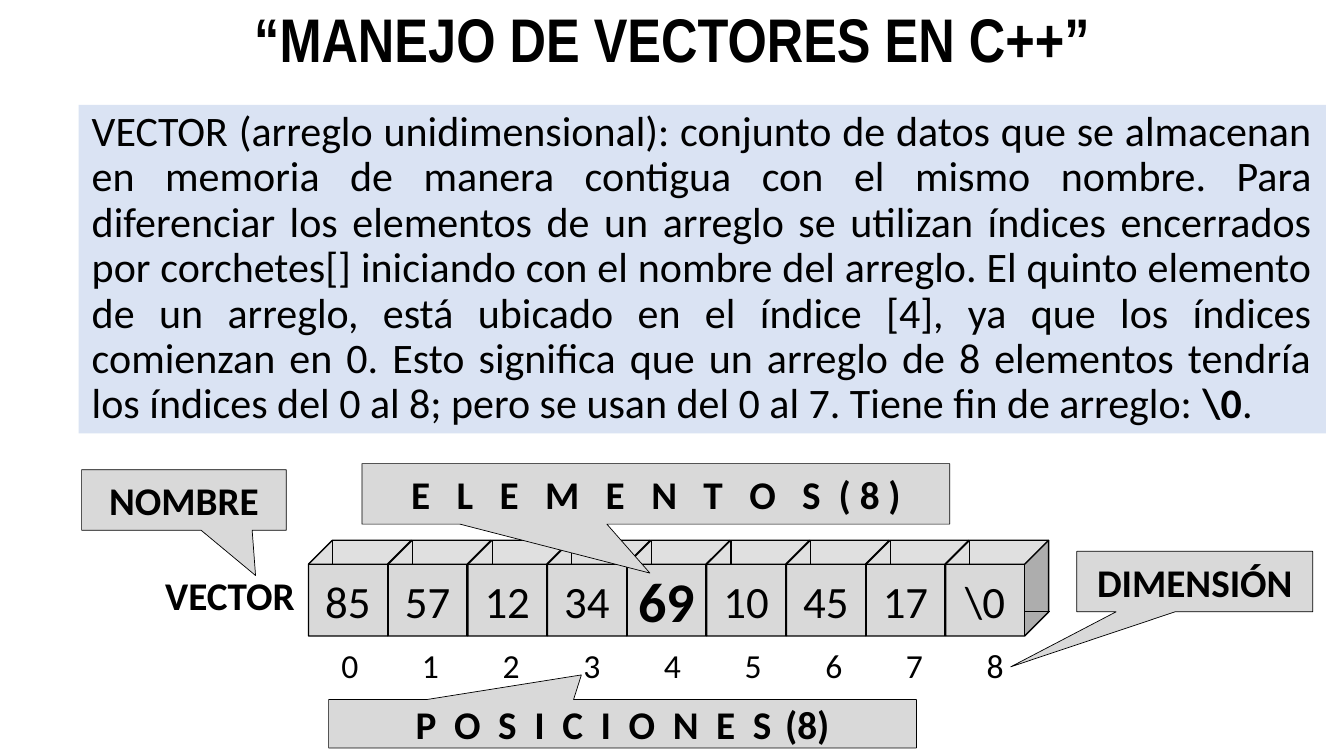
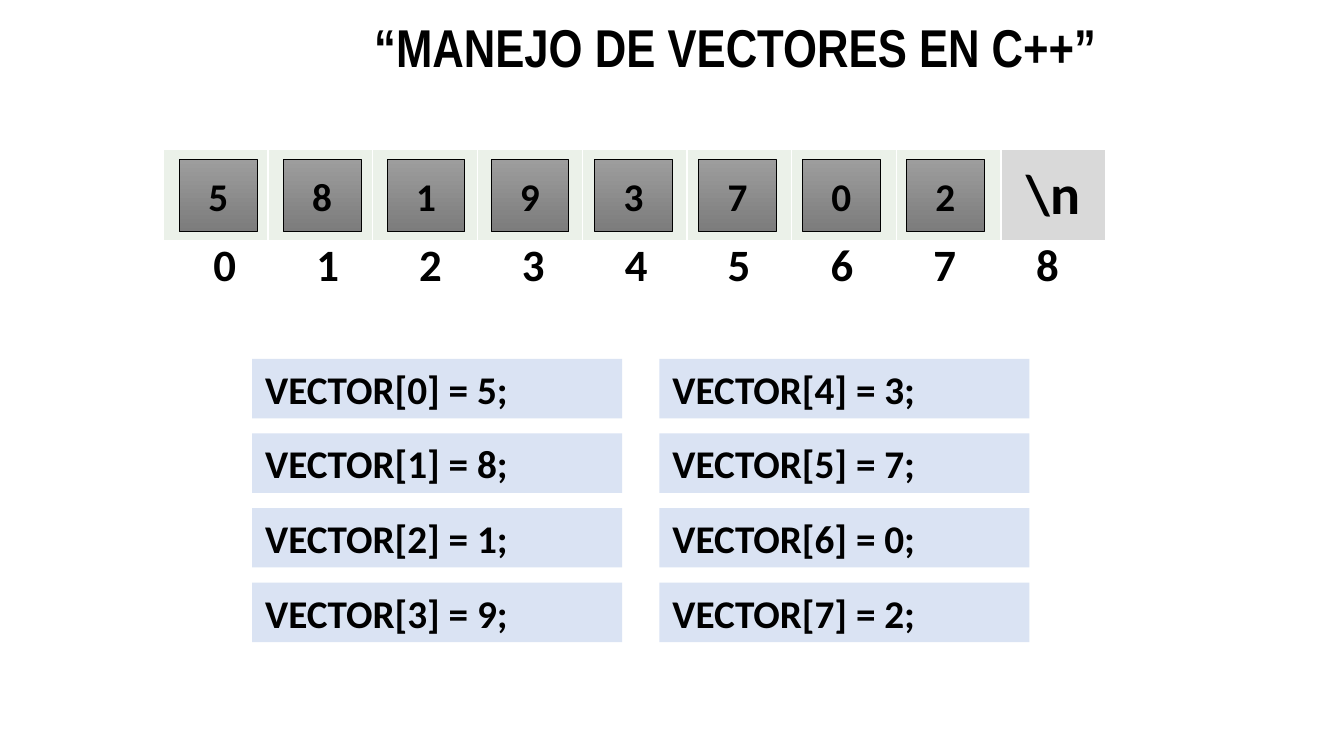
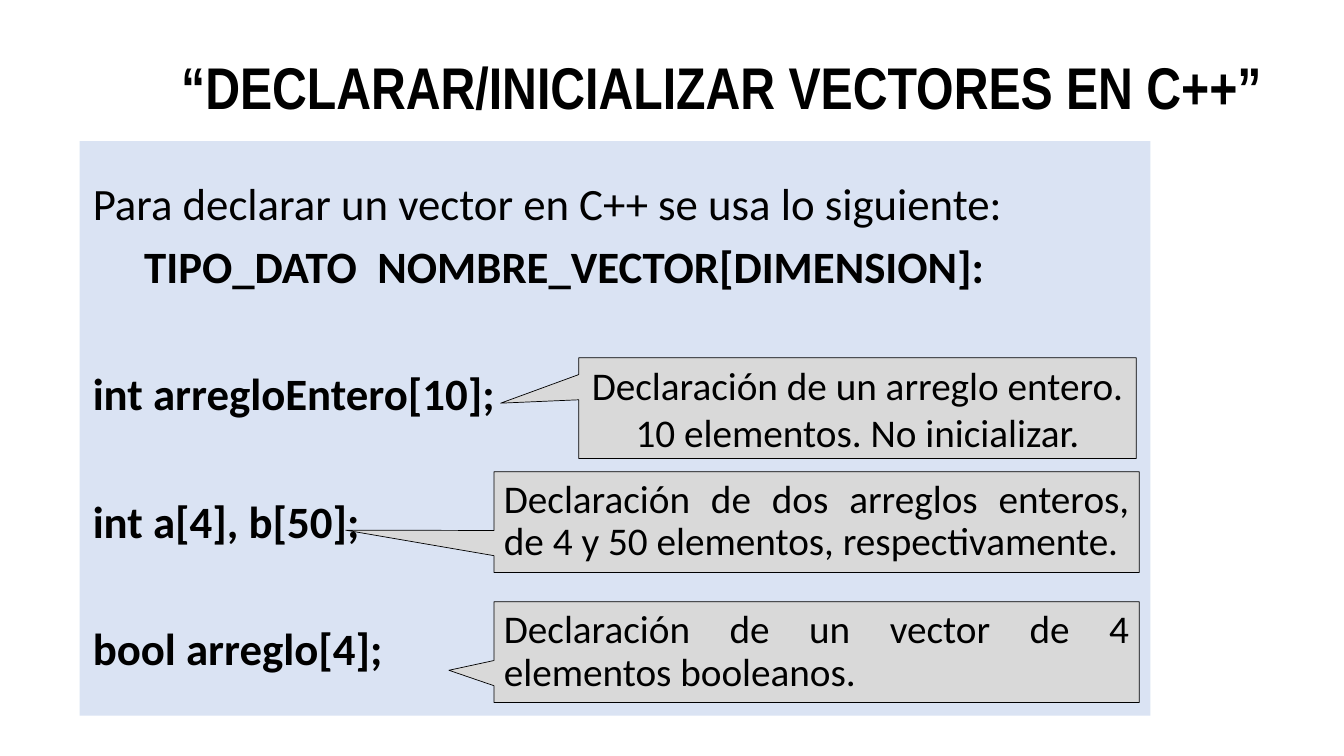
from dataclasses import dataclass

from lxml import etree
from pptx import Presentation
from pptx import util as u
from pptx.dml.color import RGBColor
from pptx.enum import shapes, text
from pptx.oxml import ns

BLACK, WHITE = "000000", "FFFFFF"
PALE_BLUE, PALE_GREEN, GREY = "DAE3F3", "EBF1E9", "D9D9D9"
BUTTON_TOP, BUTTON_BOTTOM = "9D9D9D", "7C7C7C"
TITLE_FONT, BODY_FONT = "Arial Narrow", "Calibri"
LEFT, CENTER, JUSTIFY = text.PP_ALIGN.LEFT, text.PP_ALIGN.CENTER, text.PP_ALIGN.JUSTIFY
RECTANGLE = shapes.MSO_SHAPE.RECTANGLE
VALUES = (5, 8, 1, 9, 3, 7, 0, 2)


@dataclass
class Place:
    left: float
    top: float
    width: float
    height: float

    def lengths(self) -> list:
        return [u.Inches(n) for n in (self.left, self.top, self.width, self.height)]


@dataclass
class Span:
    words: str
    size: float = 28
    bold: bool = False
    font: str = BODY_FONT
    spacing: float = 0


@dataclass
class Para:
    spans: list[Span]
    align: int = CENTER
    line: float | None = None
    before: float = 0
    after: float = 0
    indent: float = 0


@dataclass
class Callout:
    place: Place
    tip: tuple[float, float]
    para: Para


def color(code: str) -> RGBColor:
    return RGBColor.from_string(code)


def assign(target, values: dict) -> None:
    for name, value in values.items():
        setattr(target, name, value)


def fill_para(paragraph, para: Para) -> None:
    properties = paragraph._p.get_or_add_pPr()
    properties.set("marL", str(u.Inches(para.indent)))
    properties.set("indent", "0")
    etree.SubElement(properties, ns.qn("a:buNone"))
    assign(paragraph, {
        "alignment": para.align,
        "line_spacing": para.line,
        "space_before": u.Pt(para.before),
        "space_after": u.Pt(para.after),
    })
    for span in para.spans:
        run = paragraph.add_run()
        run.text = span.words
        assign(run.font, {"name": span.font, "size": u.Pt(span.size), "bold": span.bold})
        run.font.color.rgb = color(BLACK)
        if span.spacing:
            run._r.get_or_add_rPr().set("spc", str(round(span.spacing * 100)))


def write(box, paras: list[Para], margin: float | None = None, wrap: bool = True) -> None:
    frame = box.text_frame
    assign(frame, {
        "auto_size": text.MSO_AUTO_SIZE.NONE,
        "word_wrap": wrap,
        "vertical_anchor": text.MSO_ANCHOR.MIDDLE,
    })
    if margin is not None:
        sides = ("left", "top", "right", "bottom")
        assign(frame, {f"margin_{side}": u.Inches(margin) for side in sides})
    for number, para in enumerate(paras):
        fill_para(frame.add_paragraph() if number else frame.paragraphs[0], para)


def move(box, place: Place) -> None:
    assign(box, dict(zip(("left", "top", "width", "height"), place.lengths())))


def add_page(deck, layout: int, words: str, size: float, place: Place):
    page = deck.slides.add_slide(deck.slide_layouts[layout])
    move(page.shapes.title, place)
    write(page.shapes.title, [Para([Span(words, size, True, TITLE_FONT)], line=0.9)])
    return page


def fill_body(page, place: Place, paras: list[Para]) -> None:
    body = page.placeholders[1]
    move(body, place)
    body.fill.solid()
    body.fill.fore_color.rgb = color(PALE_BLUE)
    write(body, paras, 0.13)


def add_box(page, kind, place: Place, fill: str, line: float = 0):
    box = page.shapes.add_shape(kind, *place.lengths())
    box.shadow.inherit = False
    box.fill.solid()
    box.fill.fore_color.rgb = color(fill)
    if line:
        box.line.color.rgb = color(BLACK)
        box.line.width = u.Pt(line)
    else:
        box.line.fill.background()
    return box


def add_text(page, place: Place, para: Para) -> None:
    write(page.shapes.add_textbox(*place.lengths()), [para])


def add_callout(page, callout: Callout) -> None:
    box = add_box(page, shapes.MSO_SHAPE.RECTANGULAR_CALLOUT, callout.place, GREY, 0.5)
    box.adjustments[0], box.adjustments[1] = callout.tip
    write(box, [callout.para])


def add_line(page, *ends: float) -> None:
    line = page.shapes.add_connector(shapes.MSO_CONNECTOR.STRAIGHT, *map(u.Inches, ends))
    line.line.color.rgb = color(BLACK)
    line.line.width = u.Pt(0.75)
    etree.SubElement(line._element.spPr, ns.qn("a:effectLst"))


def add_cube(page, left: float, span: Span) -> None:
    top, depth, face = 5.36, 0.24, 0.79
    box = add_box(page, shapes.MSO_SHAPE.CUBE, Place(left, top, 1.02, 0.95), GREY, 1)
    write(box, [Para([span])], wrap=False)
    add_line(page, left + depth, top, left + depth, top + depth)
    add_line(page, left + face, 6.07, left + face + depth, 6.07)


def add_indices(page, first: Place, pitch: float, size: float, bold: bool) -> None:
    """Write 0 to 8 in a row of equal boxes, starting at the place of the first."""
    for index in range(9):
        place = Place(first.left + pitch * index, first.top, first.width, first.height)
        add_text(page, place, Para([Span(str(index), size, bold)]))


def build_concept(deck) -> None:
    page = add_page(deck, 1, "“MANEJO DE VECTORES EN C++”", 44, Place(0.92, 0, 11.5, 0.85))
    definition = (
        "VECTOR (arreglo unidimensional): conjunto de datos que se almacenan en memoria de "
        "manera contigua con el mismo nombre. Para diferenciar los elementos de un arreglo se "
        "utilizan índices encerrados por corchetes[] iniciando con el nombre del arreglo. El "
        "quinto elemento de un arreglo, está ubicado en el índice [4], ya que los índices "
        "comienzan en 0. Esto significa que un arreglo de 8 elementos tendría los índices del "
        "0 al 8; pero se usan del 0 al 7. Tiene fin de arreglo: ")
    spans = [Span(definition, 30), Span("\\0", 30, True), Span(".", 30)]
    fill_body(page, Place(0.78, 1.04, 12.37, 3.26), [Para(spans, JUSTIFY, 0.9)])

    for number, value in enumerate(("85", "57", "12", "34", "69", "10", "45", "17", "\\0")):
        fifth = number == 4
        add_cube(page, 3.06 + 0.79 * number, Span(value, 40 if fifth else 32, fifth))
    add_indices(page, Place(3.17, 6.34, 0.6, 0.51), 0.8, 24, False)
    add_text(page, Place(1.54, 5.65, 1.76, 0.51), Para([Span("VECTOR", bold=True)], LEFT))

    positions = [Span("P O S I C I O N E S", bold=True, spacing=3.15), Span(" (8)", bold=True)]
    elements = [Span("E L E M E N T O S", bold=True, spacing=6.3), Span(" ( 8 )", bold=True)]
    for callout in (
        Callout(Place(3.26, 6.94, 5.83, 0.48), (-0.07, -1.01), Para(positions)),
        Callout(Place(0.81, 4.66, 2.03, 0.6), (0.35, 1.25), Para([Span("NOMBRE", bold=True)])),
        Callout(Place(10.68, 5.47, 2.34, 0.6), (-0.78, 1.41),
                Para([Span("DIMENSIÓN", bold=True)])),
        Callout(Place(3.59, 4.6, 5.83, 0.6), (-0.01, 1.31), Para(elements)),
    ):
        add_callout(page, callout)


def add_cells(page) -> None:
    holder = page.shapes.add_table(1, 9, *Place(1.62, 1.48, 9.35, 0.91).lengths())
    assign(holder.table, {"first_row": False, "horz_banding": False})
    cells = list(holder.table.rows[0].cells)
    for cell in cells:
        cell.fill.solid()
        cell.fill.fore_color.rgb = color(PALE_GREEN)
    end = cells[-1]
    end.fill.fore_color.rgb = color(GREY)
    end.vertical_anchor = text.MSO_ANCHOR.MIDDLE
    assign(end, {f"margin_{side}": u.Inches(0.01) for side in ("left", "top", "right", "bottom")})
    fill_para(end.text_frame.paragraphs[0], Para([Span("\\n", 40, True)]))


def build_assignments(deck) -> None:
    page = add_page(deck, 5, "“MANEJO DE VECTORES EN C++”", 38, Place(1.08, 0, 12.43, 1))
    add_cells(page)
    add_indices(page, Place(1.93, 2.29, 0.6, 0.64), 1.02, 32, True)
    for index, value in enumerate(VALUES):
        button = add_box(page, RECTANGLE, Place(1.78 + 1.03 * index, 1.58, 0.77, 0.72),
                         BUTTON_TOP, 0.5)
        button.fill.gradient()
        button.fill.gradient_angle = 270
        for stop, shade in zip(button.fill.gradient_stops, (BUTTON_TOP, BUTTON_BOTTOM)):
            stop.color.rgb = color(shade)
        write(button, [Para([Span(str(value), bold=True)])], 0.13)

        column, row = divmod(index, 4)
        strip = add_box(page, RECTANGLE,
                        Place(2.5 + 4.04 * column, 3.56 + 0.74 * row, 3.67, 0.59), PALE_BLUE)
        write(strip, [Para([Span(f"VECTOR[{index}] = {value};", bold=True)], JUSTIFY)], 0.13)


def build_declarations(deck) -> None:
    page = add_page(deck, 1, "“DECLARAR/INICIALIZAR VECTORES EN C++”", 42,
                    Place(0.99, 0.4, 12.34, 1))
    syntax = [Span("TIPO_DATO", 32, True), Span(" ", 32, True, spacing=7.2),
              Span("NOMBRE_VECTOR[DIMENSION]:", 32, True)]
    paras = [
        Para([Span("Para declarar un vector en C++ se usa lo siguiente:", 32)], JUSTIFY, 0.9,
             after=10.6),
        Para(syntax, LEFT, 0.9, after=10.6, indent=0.51),
    ]
    for code in ("int arregloEntero[10];", "int a[4], b[50];", "bool arreglo[4];"):
        paras.append(Para([Span(code, 32, True)], JUSTIFY, 0.9, before=45.7, after=10.6))
    fill_body(page, Place(0.79, 1.4, 10.62, 5.7), paras)

    for callout in (
        Callout(Place(5.74, 3.55, 5.53, 1), (-0.64, -0.05),
                Para([Span("Declaración de un arreglo entero. 10 elementos. No inicializar.")])),
        Callout(Place(4.9, 4.68, 6.4, 1), (-0.73, 0.08),
                Para([Span("Declaración de dos arreglos enteros, de 4 y 50 elementos, "
                           "respectivamente.")], JUSTIFY, 0.9)),
        Callout(Place(4.9, 5.97, 6.4, 1), (-0.57, 0.18),
                Para([Span("Declaración de un vector de 4 elementos booleanos.")],
                     JUSTIFY, 0.9)),
    ):
        add_callout(page, callout)


def main() -> None:
    deck = Presentation()
    assign(deck, {"slide_width": u.Inches(13.33), "slide_height": u.Inches(7.5)})
    background = deck.slide_master.background.fill
    background.solid()
    background.fore_color.rgb = color(WHITE)
    build_concept(deck)
    build_assignments(deck)
    build_declarations(deck)
    deck.save("out.pptx")


if __name__ == "__main__":
    main()
